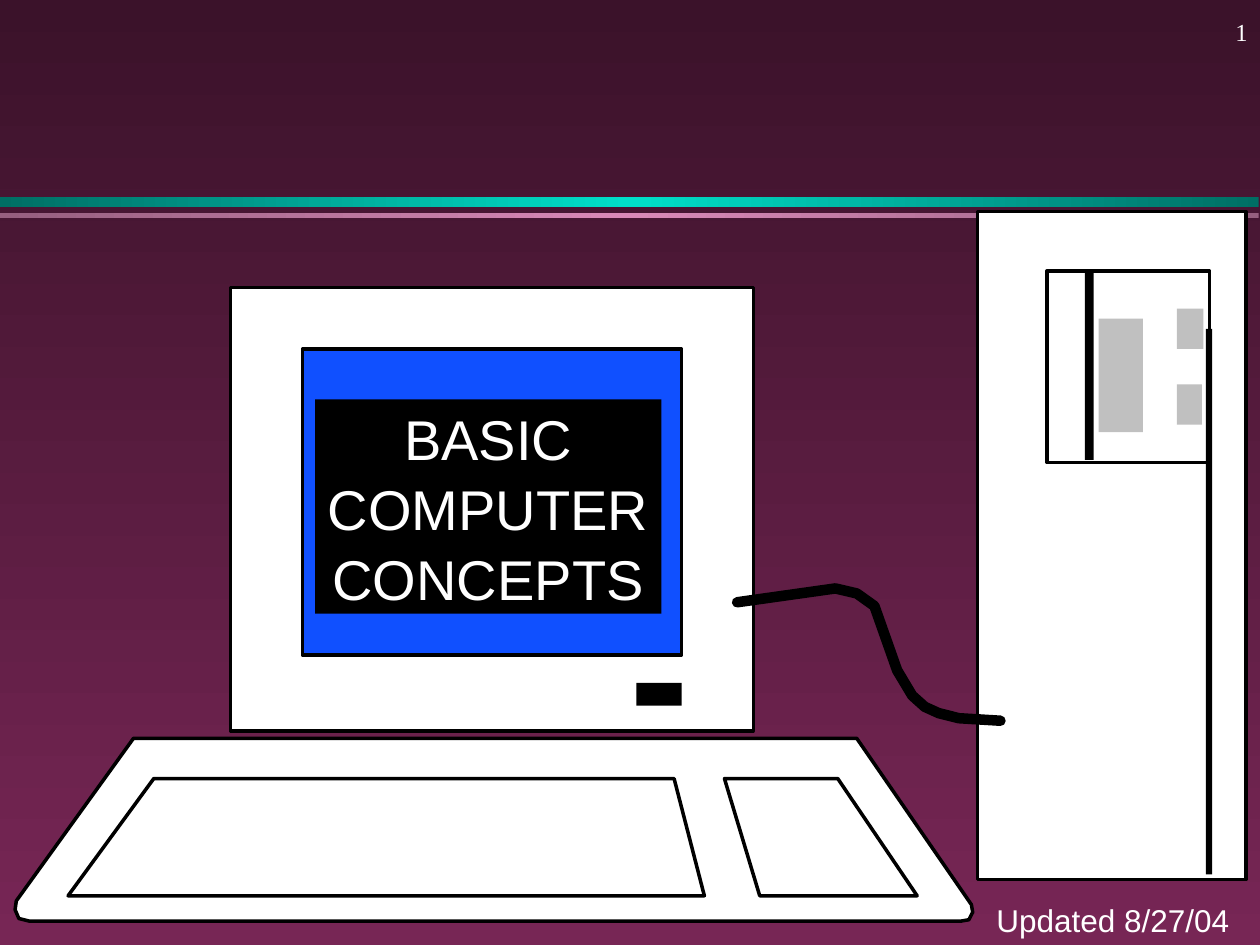
from copy import deepcopy

from lxml import etree
from pptx import Presentation
from pptx.dml.color import RGBColor
from pptx.enum.shapes import MSO_SHAPE as SHAPE
from pptx.enum.text import MSO_ANCHOR as ANCHOR, PP_ALIGN as ALIGN
from pptx.oxml.ns import qn
from pptx.util import Inches, Pt


def rgb(code):
    return RGBColor.from_string(code)


def style(sp, fill=None, line=None):
    sp.shadow.inherit = False
    if fill:
        sp.fill.solid()
        sp.fill.fore_color.rgb = rgb(fill)
    else:
        sp.fill.background()
    if line:
        sp.line.color.rgb = rgb("000000")
        sp.line.width = Pt(line)
        etree.SubElement(sp.line._get_or_add_ln(), qn("a:round"))
    else:
        sp.line.fill.background()


prs = Presentation()
prs.slide_width, prs.slide_height = Inches(10), Inches(7.5)
s = prs.slides.add_slide(prs.slide_layouts[5])

bg = s.background.fill
bg.gradient()
bg.gradient_angle = 270
for stop, color in zip(bg.gradient_stops, ("3B122A", "772655")):
    stop.color.rgb = rgb(color)

bars = [(1.56, 0.08, "006E64", "00DFCA"), (1.69, 0.04, "965F7F", "D989B8")]
for top, height, edge, middle in bars:
    sp = s.shapes.add_shape(SHAPE.RECTANGLE, 0, Inches(top), Inches(9.99), Inches(height))
    style(sp)
    sp.fill.gradient()
    sp.fill.gradient_angle = 0
    stops = sp.element.spPr.find(".//" + qn("a:gsLst"))
    stops.insert(1, deepcopy(stops[0]))
    for stop, color, pos in zip(sp.fill.gradient_stops, (edge, middle, edge), (0, 0.5, 1)):
        stop.color.rgb = rgb(color)
        stop.position = pos

keyboard = [(1.06, 5.86), (6.8, 5.86), (7.71, 7.18), (7.72, 7.24), (7.69, 7.3),
            (7.63, 7.31), (0.23, 7.31), (0.15, 7.29), (0.12, 7.22), (0.13, 7.15)]
main_keys = [(1.22, 6.18), (5.35, 6.18), (5.59, 7.11), (0.54, 7.11)]
number_keys = [(5.75, 6.18), (6.65, 6.18), (7.28, 7.11), (6.03, 7.11)]
cable = [(5.85, 4.78), (6.63, 4.67), (6.8, 4.71), (6.94, 4.81), (7.12, 5.32),
         (7.24, 5.52), (7.34, 5.61), (7.45, 5.66), (7.61, 5.7), (7.94, 5.72)]
outlines = []
for points in (keyboard, main_keys, number_keys, cable):
    pts = [(Inches(x), Inches(y)) for x, y in points]
    builder = s.shapes.build_freeform(*pts[0])
    builder.add_line_segments(pts[1:], close=points is not cable)
    sp = builder.convert_to_shape()
    if points is cable:
        style(sp, line=6)
        sp.line._get_or_add_ln().set("cap", "rnd")
    else:
        style(sp, "FFFFFF", 2)
    outlines.append(sp)

boxes = [
    (1.83, 2.28, 4.15, 3.52, "FFFFFF", 2),
    (2.4, 2.77, 3.01, 2.43, "1050FF", 2),
    (5.05, 5.42, 0.36, 0.18, "000000", None),
    (7.76, 1.68, 2.13, 5.3, "FFFFFF", 2),
    (8.31, 2.15, 1.29, 1.52, "FFFFFF", 2),
    (8.61, 2.16, 0.07, 1.49, "000000", None),
    (9.34, 2.45, 0.21, 0.32, "C0C0C0", None),
    (9.34, 3.05, 0.2, 0.32, "C0C0C0", None),
    (9.57, 2.61, 0.05, 4.33, "000000", None),
    (8.72, 2.53, 0.35, 0.9, "C0C0C0", None),
]
for *place, fill, line in boxes:
    sp = s.shapes.add_shape(SHAPE.RECTANGLE, *map(Inches, place))
    style(sp, fill, line)

title = s.shapes.title
title.left, title.top, title.width, title.height = map(Inches, (2.5, 3.17, 2.75, 1.7))
title.fill.solid()
title.fill.fore_color.rgb = rgb("000000")
s.shapes.element.append(title.element)
s.shapes.element.append(outlines[-1].element)

updated = s.shapes.add_textbox(Inches(7.81), Inches(7.1), Inches(2.05), Inches(0.4))
number = s.shapes.add_textbox(Inches(7.92), 0, Inches(2.08), Inches(0.5))
texts = [
    (title, "BASIC COMPUTER CONCEPTS", 32, "Arial", ALIGN.CENTER, ANCHOR.MIDDLE, True),
    (updated, "Updated 8/27/04", 18, "Arial", ALIGN.LEFT, ANCHOR.TOP, False),
    (number, "1", 14, "Times New Roman", ALIGN.RIGHT, ANCHOR.MIDDLE, True),
]
for sp, text, size, font, align, anchor, wrap in texts:
    tf = sp.text_frame
    tf.word_wrap = wrap
    tf.vertical_anchor = anchor
    p = tf.paragraphs[0]
    p.alignment = align
    if sp is title:
        p.line_spacing = 1.04
    r = p.add_run()
    r.text = text
    r.font.size = Pt(size)
    r.font.name = font
    r.font.color.rgb = rgb("FFFFFF")

prs.save("out.pptx")
